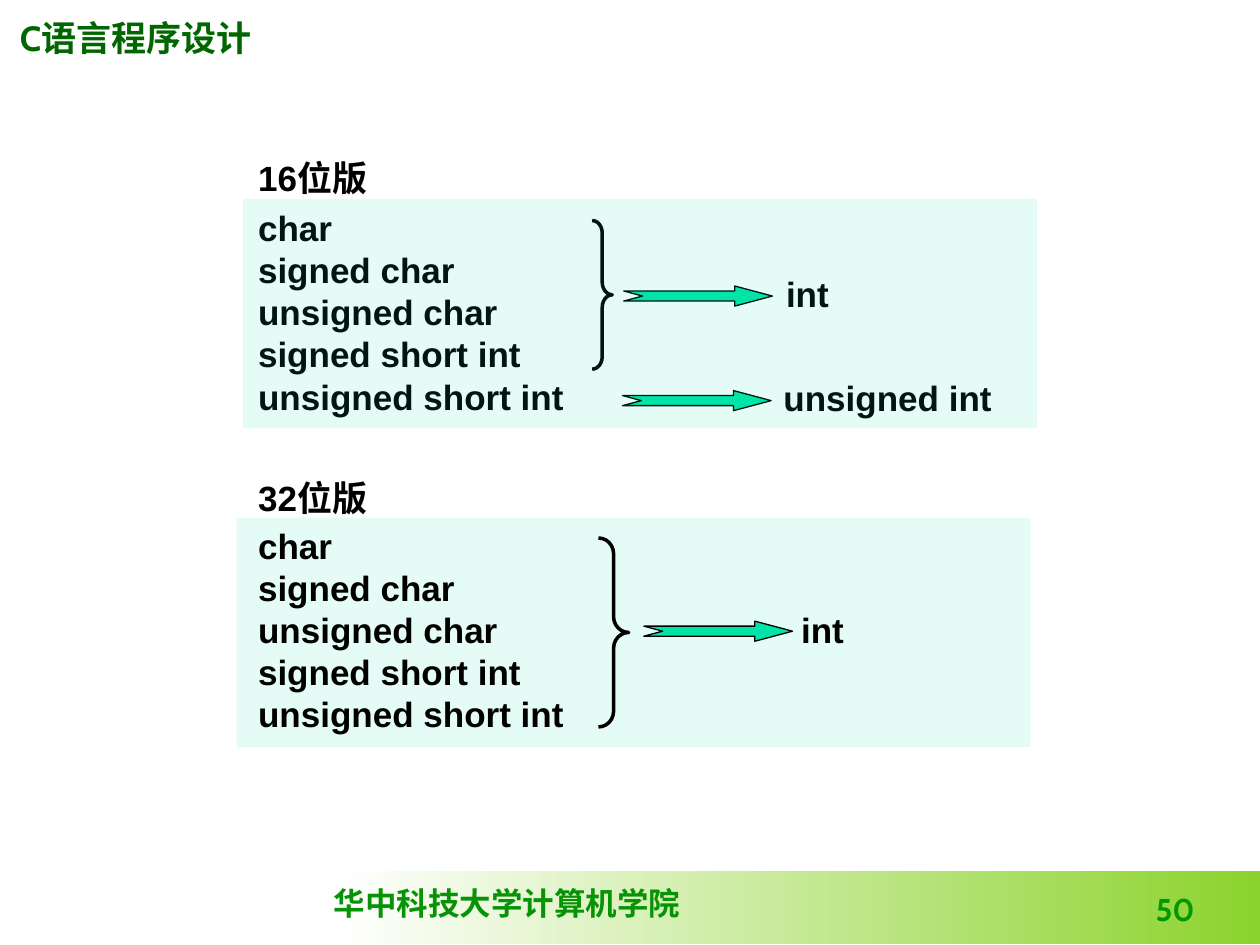
from dataclasses import dataclass

from lxml import etree
from pptx import Presentation
from pptx.dml.color import RGBColor
from pptx.enum import shapes, text
from pptx.oxml import ns
from pptx.util import Inches, Pt


@dataclass(frozen=True)
class Theme:
    ink: RGBColor = RGBColor(0, 0, 0)
    accent: RGBColor = RGBColor.from_string("00E4A8")
    header: RGBColor = RGBColor.from_string("006600")
    footer: RGBColor = RGBColor.from_string("069406")
    number: RGBColor = RGBColor.from_string("009900")
    band_start: RGBColor = RGBColor.from_string("FFFFFF")
    band_end: RGBColor = RGBColor.from_string("8CD32D")
    body_size: Pt = Pt(20)
    small_size: Pt = Pt(18)


theme = Theme()
presentation = Presentation()
presentation.slide_width = Inches(10)
presentation.slide_height = Inches(7.5)
slide = presentation.slides.add_slide(presentation.slide_layouts[6])


def add_text(box, lines, color=theme.ink, size=theme.body_size, font="Arial"):
    shape = slide.shapes.add_textbox(*map(Inches, box))
    frame = shape.text_frame
    frame.word_wrap = True
    frame.text = "\n".join(lines)
    for paragraph in frame.paragraphs:
        paragraph.font.name = font
        paragraph.font.size = size
        paragraph.font.bold = True
        paragraph.font.color.rgb = color
    return frame


def add_preset(kind, box, adjustments=(), fill=None, line_width=None):
    shape = slide.shapes.add_shape(kind, *map(Inches, box))
    shape.shadow.inherit = False
    for index, value in enumerate(adjustments):
        shape.adjustments[index] = value
    if fill is None:
        shape.fill.background()
    else:
        shape.fill.solid()
        shape.fill.fore_color.rgb = fill
    if line_width is None:
        shape.line.fill.background()
    else:
        shape.line.color.rgb = theme.ink
        shape.line.width = Pt(line_width)
    return shape


band = add_preset(shapes.MSO_SHAPE.RECTANGLE, (2.67, 6.91, 7.33, 0.58))
band.fill.gradient()
band.fill.gradient_angle = 0
for stop, color, position in zip(band.fill.gradient_stops, (theme.band_start, theme.band_end), (0, 1)):
    stop.color.rgb = color
    stop.position = position

footer = add_text((2.55, 6.97, 2.95, 0.4), ["华中科技大学计算机学院"], theme.footer, theme.small_size, "Times New Roman")
footer.word_wrap = False

header = add_text((0.06, 0.08, 2.05, 0.43), ["C"], theme.header, font="Cabin")
course = header.paragraphs[0].add_run()
course.text = "语言程序设计"
course.font.name = "Times New Roman"

number = add_text((7.5, 6.95, 2.08, 0.46), ["50"], theme.number, theme.small_size, "Cabin")
number.vertical_anchor = text.MSO_ANCHOR.BOTTOM
number.paragraphs[0].alignment = text.PP_ALIGN.RIGHT

types = ["char", "signed char", "unsigned char", "signed short int", "unsigned short int"]
text_left = 1.95
panels = {"32位版": (1.93, 1.58)}
sections = [
    {
        "title": "32位版", "title_top": 3.73, "panel": (1.88, 4.11), "panel_behind": True,
        "lists": [(4.11, 1.77, types)],
        "brace": (4.75, 4.27, 0.24, 1.5), "bend": 0.52,
        "results": [("int", 5.11, 4.93, 6.26, 4.78)],
    },
    {
        "title": "16位版", "title_top": 1.19, "panel": (1.93, 1.58), "panel_behind": False,
        "lists": [(1.59, 1.43, types[:4]), (2.93, 0.43, types[4:])],
        "brace": (4.7, 1.75, 0.16, 1.18), "bend": 0.62,
        "results": [("int", 4.95, 2.27, 6.14, 2.11), ("unsigned int", 4.94, 3.1, 6.12, 2.94)],
    },
]

for section in sections:
    first_index = len(slide.shapes)
    panel = add_preset(shapes.MSO_SHAPE.RECTANGLE, (*section["panel"], 6.3, 1.82), fill=theme.accent)
    panel_color = panel._element.spPr.find(ns.qn("a:solidFill"))[0]
    etree.SubElement(panel_color, ns.qn("a:alpha")).set("val", "10000")

    add_text((text_left, section["title_top"], 2.84, 0.43), [section["title"]])
    for top, height, names in section["lists"]:
        add_text((text_left, top, 3.47, height), names)
    add_preset(shapes.MSO_SHAPE.RIGHT_BRACE, section["brace"], (section["bend"], 0.5), line_width=2)
    for result, arrow_left, arrow_top, label_left, label_top in section["results"]:
        add_preset(
            shapes.MSO_SHAPE.NOTCHED_RIGHT_ARROW, (arrow_left, arrow_top, 1.18, 0.16),
            (0.5, 1.87), theme.accent, 0.75,
        )
        add_text((label_left, label_top, 1.97, 0.43), [result])
    if not section["panel_behind"]:
        slide.shapes._spTree.append(panel._element)

presentation.save("out.pptx")
